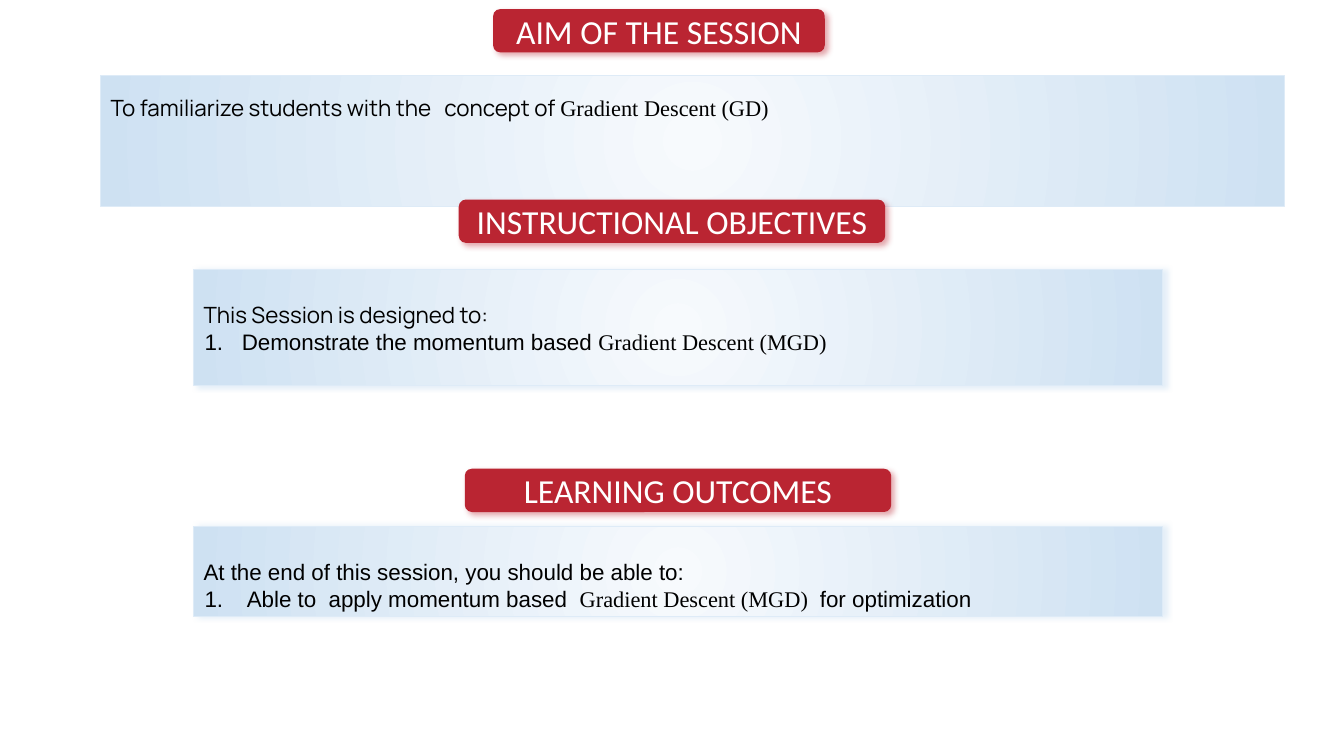
"""Build a slide with the aim, objectives and outcomes of a session."""
from lxml import etree
from pptx import Presentation
from pptx.dml.color import RGBColor
from pptx.enum.shapes import MSO_SHAPE
from pptx.enum.text import MSO_ANCHOR, MSO_AUTO_SIZE, PP_ALIGN
from pptx.oxml import parse_xml
from pptx.oxml.ns import qn
from pptx.util import Inches, Pt

RECT, ROUND = MSO_SHAPE.RECTANGLE, MSO_SHAPE.ROUNDED_RECTANGLE
TOP, MIDDLE = MSO_ANCHOR.TOP, MSO_ANCHOR.MIDDLE
CENTER, LEFT = PP_ALIGN.CENTER, PP_ALIGN.LEFT
GROW = MSO_AUTO_SIZE.SHAPE_TO_FIT_TEXT
NS = 'xmlns:a="http://schemas.openxmlformats.org/drawingml/2006/main"'
COLORS = {"red": "BA2532", "white": "FFFFFF", "black": "000000",
          "core": "F7FAFD", "rim": "CEE1F2", "edge": "DEEBF7",
          "shade": "BDD7EE"}
SANS, SERIF, ROUNDED = "Arial", "Times New Roman", "Manrope"


def rgb(name):
    """Return the named colour."""
    return RGBColor.from_string(COLORS[name])


def add_box(slide, kind, left, top, width, height):
    """Add a shape without a shadow."""
    box = slide.shapes.add_shape(kind, Inches(left), Inches(top),
                                 Inches(width), Inches(height))
    box.shadow.inherit = False
    box.text_frame.word_wrap = True
    return box


def add_shade(box, color, angle):
    """Give a shape a soft outer shadow."""
    effects = box._element.spPr.find(qn("a:effectLst"))
    effects.append(parse_xml(
        f'<a:outerShdw {NS} blurRad="{Pt(4)}" dist="{Pt(3)}" '
        f'dir="{angle * 60000}" algn="tl" rotWithShape="0">'
        f'<a:srgbClr val="{COLORS[color]}"><a:alpha val="40000"/>'
        '</a:srgbClr></a:outerShdw>'))


def style(run, font, size, color):
    """Set the look of a run."""
    run.font.name, run.font.size = font, Pt(size)
    run.font.color.rgb = rgb(color)


def add_title(slide, text, left, top, width):
    """Add a red heading."""
    box = add_box(slide, ROUND, left, top, width, 0.43)
    box.fill.solid()
    box.fill.fore_color.rgb = rgb("red")
    box.line.fill.background()
    add_shade(box, "red", 45)
    frame = box.text_frame
    frame.text = text
    frame.vertical_anchor = MIDDLE
    para = frame.paragraphs[0]
    para.alignment = CENTER
    style(para.runs[0], "Calibri", 24, "white")


def fill_glow(box):
    """Fill a shape with a gradient that spreads from its centre."""
    box.fill.gradient()
    for stop, color in zip(box.fill.gradient_stops, ("core", "rim")):
        stop.color.rgb = rgb(color)
    grad = box._element.spPr.find(qn("a:gradFill"))
    grad.replace(grad.find(qn("a:lin")), parse_xml(
        f'<a:path {NS} path="circle"><a:fillToRect l="50000" t="50000" '
        'r="50000" b="50000"/></a:path>'))


def number(para):
    """Make a paragraph a numbered item."""
    props = para._p.get_or_add_pPr()
    props.set("marL", str(Inches(0.38)))
    props.set("indent", str(Inches(-0.37)))
    tint = etree.SubElement(props, qn("a:buClr"))
    etree.SubElement(tint, qn("a:srgbClr"), val=COLORS["black"])
    etree.SubElement(props, qn("a:buAutoNum"), type="arabicPeriod")


def add_panel(slide, place, spacing, lead, item=(), shaded=True):
    """Add a pale panel with a lead line and an optional numbered item."""
    box = add_box(slide, RECT, *place)
    fill_glow(box)
    box.line.color.rgb = rgb("edge")
    box.line.width = Pt(0.75)
    if shaded:
        add_shade(box, "shade", 0)
    frame = box.text_frame
    frame.vertical_anchor = TOP
    frame.auto_size = GROW
    first = frame.paragraphs[0]
    first.line_spacing = spacing
    lines = [(first, lead)]
    if item:
        second = frame.add_paragraph()
        number(second)
        lines.append((second, item))
    for para, parts in lines:
        para.alignment = LEFT
        for text, font in parts:
            run = para.add_run()
            run.text = text
            style(run, font, 16, "black")


def main():
    """Build and save the slide."""
    deck = Presentation()
    deck.slide_width, deck.slide_height = Inches(13.33), Inches(7.5)
    slide = deck.slides.add_slide(deck.slide_layouts[6])
    add_title(slide, "AIM OF THE SESSION", 4.89, 0.09, 3.29)
    add_panel(slide, (1, 0.75, 11.74, 1.3), 1.5,
              [("To familiarize students with the   concept of ", ROUNDED),
               ("Gradient Descent (GD)", SERIF)], shaded=False)
    add_title(slide, "INSTRUCTIONAL OBJECTIVES", 4.55, 1.98, 4.23)
    add_panel(slide, (1.92, 2.67, 9.61, 1.16), 2.0,
              [("This Session is designed to:", ROUNDED)],
              [("Demonstrate the momentum based ", SANS),
               ("Gradient Descent (MGD)", SERIF)])
    add_title(slide, "LEARNING OUTCOMES", 4.61, 4.65, 4.23)
    add_panel(slide, (1.92, 5.22, 9.61, 0.9), 2.0,
              [("At the end of this session, you should be able to:", SANS)],
              [(" Able to  apply momentum based  ", SANS),
               ("Gradient Descent (MGD) ", SERIF),
               (" for optimization", SANS)])
    deck.save("out.pptx")


if __name__ == "__main__":
    main()
